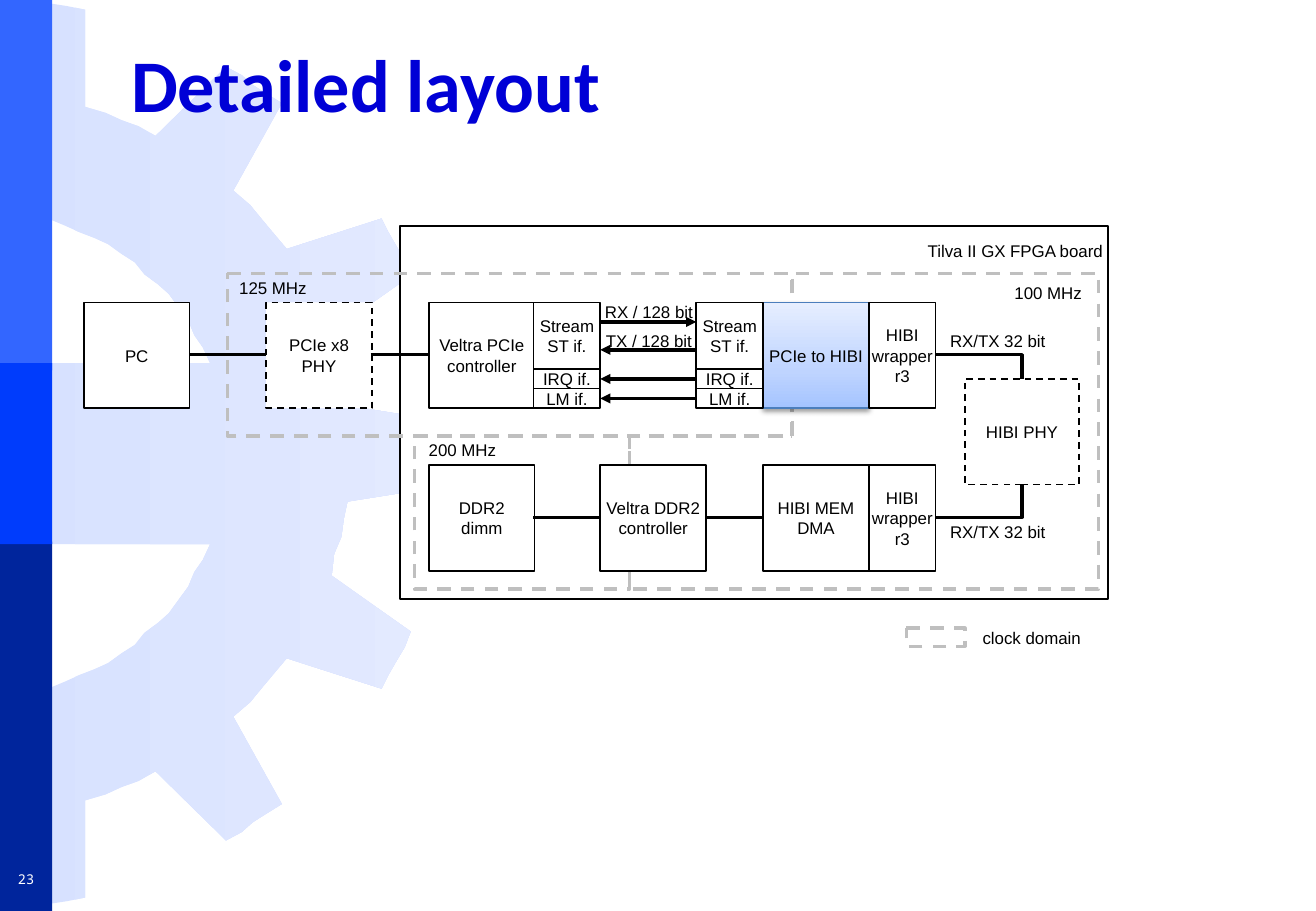
from lxml.etree import SubElement
from pptx import Presentation
from pptx.dml.color import RGBColor
from pptx.enum.dml import MSO_LINE
from pptx.enum.shapes import MSO_CONNECTOR, MSO_SHAPE
from pptx.enum.text import MSO_ANCHOR, PP_ALIGN
from pptx.oxml.ns import qn
from pptx.util import Inches, Pt

BLACK = RGBColor(0x00, 0x00, 0x00)
WHITE = RGBColor(0xFF, 0xFF, 0xFF)
GRAY = RGBColor(0xBF, 0xBF, 0xBF)
TITLE_BLUE = RGBColor(0x00, 0x00, 0xD6)
BAND_LIGHT = RGBColor(0x33, 0x66, 0xFF)
BAND_MID = RGBColor(0x00, 0x3C, 0xFC)
BAND_DARK = RGBColor(0x00, 0x25, 0x9C)
BRIDGE_EDGE = RGBColor(0x4B, 0x7E, 0xBC)
GEAR_STOPS = [(0, RGBColor(0xD7, 0xE1, 0xFF)), (100, RGBColor(0xE3, 0xEA, 0xFF))]
BRIDGE_STOPS = [(0, RGBColor(0xA4, 0xC4, 0xFF)), (35, RGBColor(0xBF, 0xD4, 0xFF)),
                (100, RGBColor(0xE6, 0xEE, 0xFF))]

LABEL = {"size": Pt(10), "name": "Arial"}
TITLE = {"size": Pt(44), "name": "Calibri", "bold": True}
NUMBER = {"size": Pt(8), "name": "Noto Sans Mono"}

BLOCK, NARROW, STRIP = 0.87, 0.55, 0.16
TOP_ROW, BOTTOM_ROW = 2.49, 3.83
TOP_WIRE, BOTTOM_WIRE = 2.92, 4.26
GEAR_MIRROR = 7.47
UPPER_GEAR = [
    (3.7, 3.73), (3.7, 3.59), (3.67, 3.47), (2.86, 3.34), (2.83, 3.2), (2.81, 3.05),
    (2.75, 2.91), (2.73, 2.73), (3.38, 2.27), (3.33, 2.14), (3.27, 2.04), (3.2, 1.92),
    (3.14, 1.8), (2.36, 2.05), (2.25, 1.92), (2.15, 1.8), (2.06, 1.69), (1.92, 1.57),
    (2.32, 0.85), (2.19, 0.77), (2.08, 0.7), (1.99, 0.62), (1.86, 0.55), (1.28, 1.12),
    (1.14, 1.04), (1, 0.99), (0.87, 0.93), (0.7, 0.88), (0.7, 0.08), (0.55, 0.05),
    (0.42, 0.03), (0.29, 0.01), (0.14, 0), (0.14, 1.76), (0.28, 1.8), (0.42, 1.81),
    (0.54, 1.86), (0.65, 1.91), (0.78, 1.96), (0.89, 2.01), (1, 2.09), (1.11, 2.16),
    (1.19, 2.26), (1.3, 2.34), (1.39, 2.42), (1.47, 2.53), (1.55, 2.64), (1.6, 2.76),
    (1.67, 2.86), (1.73, 2.99), (0, 2.99)]


def write(shape, text, color=BLACK, look=LABEL, align=PP_ALIGN.CENTER,
          inset=(0, 0), wrap=True):
    frame = shape.text_frame
    side, edge = map(Inches, inset)
    layout = {"margin_left": side, "margin_right": side, "margin_top": edge,
              "margin_bottom": edge, "word_wrap": wrap,
              "vertical_anchor": MSO_ANCHOR.MIDDLE}
    for key, value in layout.items():
        setattr(frame, key, value)
    paragraph = frame.paragraphs[0]
    paragraph.text = text
    paragraph.alignment = align
    for key, value in look.items():
        setattr(paragraph.font, key, value)
    paragraph.font.color.rgb = color


def add_label(slide, text, area, **options):
    write(slide.shapes.add_textbox(*map(Inches, area)), text, **options)


def add_box(slide, area, text="", fill=WHITE, edge=BLACK, dashed=False, width=1,
            inset=(0, 0), wrap=True):
    box = slide.shapes.add_shape(MSO_SHAPE.RECTANGLE, *map(Inches, area))
    box.shadow.inherit = False
    box.fill.solid()
    box.fill.fore_color.rgb = fill
    if edge is None:
        box.line.fill.background()
    else:
        box.line.color.rgb = edge
        box.line.width = Pt(width)
        if dashed:
            box.line.dash_style = MSO_LINE.DASH
    if text:
        write(box, text, inset=inset, wrap=wrap)
    return box


def add_outline(slide, points):
    corners = [(Inches(x), Inches(y)) for x, y in points]
    builder = slide.shapes.build_freeform(*corners[0], scale=1.0)
    builder.add_line_segments(corners[1:], close=True)
    outline = builder.convert_to_shape()
    outline.shadow.inherit = False
    return outline


def add_clock_domain(slide, points):
    domain = add_outline(slide, points)
    domain.fill.background()
    domain.line.color.rgb = GRAY
    domain.line.width = Pt(2)
    domain.line.dash_style = MSO_LINE.DASH


def corners_of(left, top, right, bottom):
    return [(left, top), (right, top), (right, bottom), (left, bottom)]


def set_gradient(shape, stops, angle):
    shape.fill.gradient()
    shape.fill.gradient_angle = angle
    stop_list = shape.element.spPr.find(qn("a:gradFill")).find(qn("a:gsLst"))
    for stop in list(stop_list):
        stop_list.remove(stop)
    for position, color in stops:
        stop = SubElement(stop_list, qn("a:gs"), pos=str(position * 1000))
        SubElement(stop, qn("a:srgbClr"), val=str(color))


def add_drop_shadow(shape):
    effects = shape.element.spPr.find(qn("a:effectLst"))
    shadow = SubElement(effects, qn("a:outerShdw"), blurRad=str(Pt(3.1)),
                        dist=str(Pt(1.6)), dir="5400000", rotWithShape="0")
    color = SubElement(shadow, qn("a:srgbClr"), val=str(BLACK))
    SubElement(color, qn("a:alpha"), val="38000")


def add_wire(slide, start, end, arrow=False, bent=False):
    kind = MSO_CONNECTOR.ELBOW if bent else MSO_CONNECTOR.STRAIGHT
    wire = slide.shapes.add_connector(kind, *map(Inches, start + end))
    wire.line.color.rgb = BLACK
    wire.line.width = Pt(2)
    properties = wire.element.spPr
    if bent:
        properties.find(qn("a:prstGeom")).set("prst", "bentConnector2")
    if arrow:
        SubElement(properties.find(qn("a:ln")), qn("a:tailEnd"), type="triangle")
    SubElement(properties, qn("a:effectLst"))


def add_background(slide):
    lower_gear = [(x, GEAR_MIRROR - y) for x, y in reversed(UPPER_GEAR)]
    gear = add_outline(slide, UPPER_GEAR + lower_gear)
    set_gradient(gear, GEAR_STOPS, 0)
    gear.line.fill.background()
    for top, height, color in [(0, 3.05, BAND_LIGHT), (4.46, 3.04, BAND_DARK),
                               (2.99, 1.49, BAND_MID)]:
        add_box(slide, (0, top, 0.43, height), fill=color, edge=None)


def add_board(slide):
    add_box(slide, (3.29, 1.86, 5.83, 3.07))
    add_label(slide, "Tilva II GX FPGA board", (7.59, 1.95, 1.53, 0.23))
    add_clock_domain(slide, corners_of(3.41, 3.59, 5.18, 4.85))
    add_clock_domain(slide, corners_of(1.87, 2.25, 6.52, 3.59))
    add_clock_domain(slide, [(6.52, 3.59), (6.52, 2.25), (9.04, 2.25),
                             (9.04, 4.85), (5.18, 4.85), (5.18, 3.59)])


def add_blocks(slide):
    add_box(slide, (2.19, TOP_ROW, BLOCK, BLOCK), "PCIe x8 PHY", dashed=True, inset=(0.1, 0.05))
    add_box(slide, (7.94, 3.12, 0.94, BLOCK), "HIBI PHY", dashed=True, inset=(0.1, 0.05))
    bridge = add_box(slide, (6.28, TOP_ROW, BLOCK, BLOCK), "PCIe to HIBI",
                     edge=BRIDGE_EDGE, width=0.75, wrap=False)
    set_gradient(bridge, BRIDGE_STOPS, 90)
    add_drop_shadow(bridge)
    for left, top, text in [(0.69, TOP_ROW, "PC"),
                            (3.53, TOP_ROW, "Veltra PCIe controller"),
                            (4.94, BOTTOM_ROW, "Veltra DDR2 controller"),
                            (6.28, BOTTOM_ROW, "HIBI MEM DMA")]:
        add_box(slide, (left, top, BLOCK, BLOCK), text)
    add_box(slide, (3.53, BOTTOM_ROW, BLOCK, BLOCK), "DDR2 dimm", inset=(0.08, 0))
    for top in (TOP_ROW, BOTTOM_ROW):
        add_box(slide, (7.15, top, NARROW, BLOCK), "HIBI wrapper r3")
    for left in (4.39, 5.73):
        for top, height, text in [(TOP_ROW, NARROW, "Stream ST if."),
                                  (3.04, STRIP, "IRQ if."), (3.2, STRIP, "LM if.")]:
            add_box(slide, (left, top, NARROW, height), text)


def add_wires(slide):
    for left, right, level in [(1.56, 2.19, TOP_WIRE), (3.05, 3.53, TOP_WIRE),
                               (4.39, 4.94, BOTTOM_WIRE), (5.81, 6.28, BOTTOM_WIRE)]:
        add_wire(slide, (left, level), (right, level))
    add_wire(slide, (4.94, 2.65), (5.73, 2.65), arrow=True)
    for level in (2.88, 3.12, 3.28):
        add_wire(slide, (5.73, level), (4.94, level), arrow=True)
    for level, phy_edge in [(TOP_WIRE, 3.12), (BOTTOM_WIRE, 3.99)]:
        add_wire(slide, (7.7, level), (8.41, phy_edge), bent=True)


def add_labels(slide):
    for text, left, top, width in [("RX / 128 bit", 4.87, 2.49, 0.94),
                                   ("TX / 128 bit", 4.87, 2.73, 0.94),
                                   ("RX/TX 32 bit", 7.7, 2.73, 1.02),
                                   ("RX/TX 32 bit", 7.7, 4.3, 1.02)]:
        add_label(slide, text, (left, top, width, STRIP), inset=(0.1, 0.05))
    for text, left, top, width in [("100 MHz", 8.25, 2.33, 0.79),
                                   ("125 MHz", 1.87, 2.29, 1.02),
                                   ("200 MHz", 3.43, 3.62, 1.02)]:
        add_label(slide, text, (left, top, width, STRIP), align=PP_ALIGN.LEFT,
                  inset=(0.1, 0.05))
    add_box(slide, (8.02, 5.17, 0.94, STRIP), "clock domain", edge=None)
    add_clock_domain(slide, corners_of(7.46, 5.17, 7.94, 5.32))


def main():
    deck = Presentation()
    deck.slide_width, deck.slide_height = Inches(10.83), Inches(7.5)
    slide = deck.slides.add_slide(deck.slide_layouts[6])
    add_background(slide)
    add_board(slide)
    add_label(slide, "Detailed layout", (0.98, 0.21, 9.39, 0.94), color=TITLE_BLUE,
              look=TITLE, align=PP_ALIGN.LEFT, inset=(0.1, 0.05))
    add_label(slide, "23", (0, 7.11, 0.43, 0.26), color=WHITE, look=NUMBER,
              inset=(0.1, 0.05), wrap=False)
    add_blocks(slide)
    add_wires(slide)
    add_labels(slide)
    deck.save("out.pptx")


if __name__ == "__main__":
    main()
